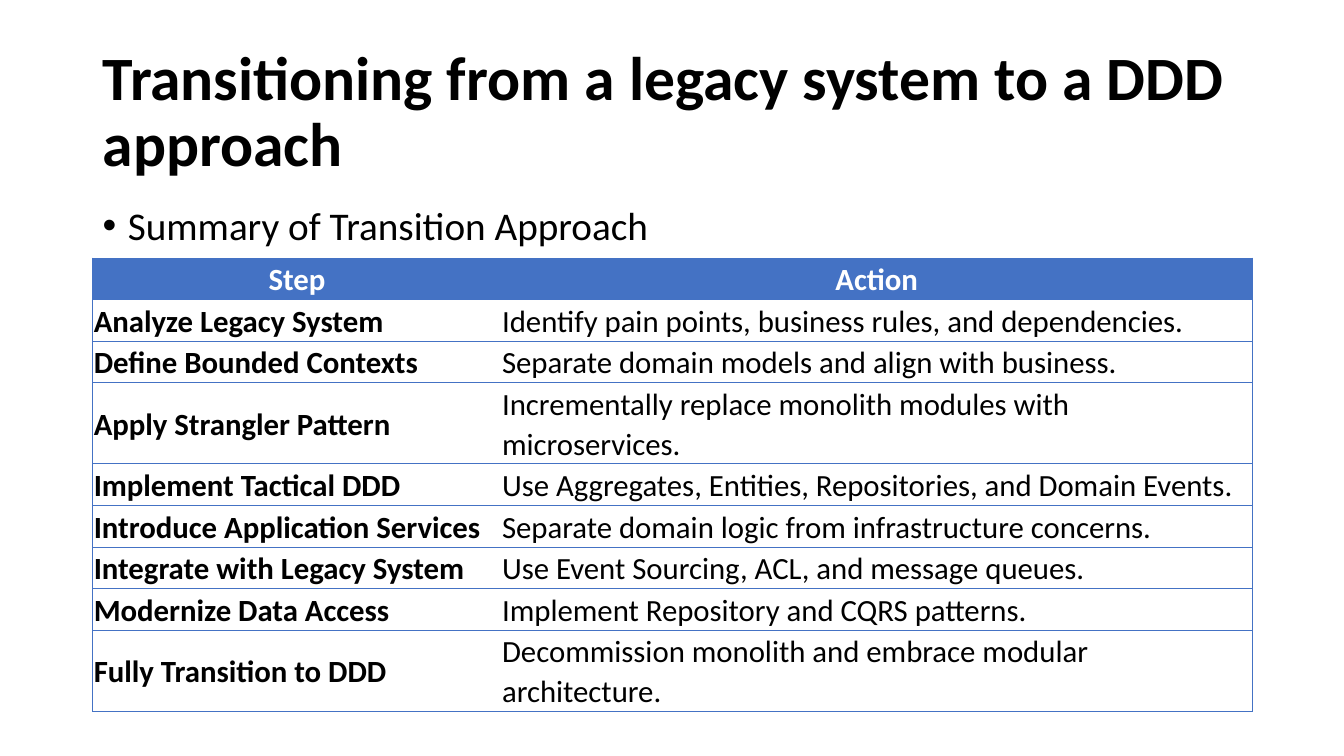
from lxml.etree import SubElement
from pptx import Presentation
from pptx.dml.color import RGBColor
from pptx.enum.text import MSO_ANCHOR as Anchor, PP_ALIGN as Align
from pptx.oxml import parse_xml
from pptx.oxml.ns import nsdecls, qn
from pptx.util import Inches, Pt

COLORS = {"text": "000000", "accent": "4472C4", "white": "FFFFFF"}
NO_STYLE = "{2D5ABB26-0587-4C30-8999-92F81FD0307C}"
STEPS = [
    ("Step", "Action"),
    ("Analyze Legacy System", "Identify pain points, business rules, and dependencies."),
    ("Define Bounded Contexts", "Separate domain models and align with business."),
    ("Apply Strangler Pattern", "Incrementally replace monolith modules with microservices."),
    ("Implement Tactical DDD", "Use Aggregates, Entities, Repositories, and Domain Events."),
    ("Introduce Application Services", "Separate domain logic from infrastructure concerns."),
    ("Integrate with Legacy System", "Use Event Sourcing, ACL, and message queues."),
    ("Modernize Data Access", "Implement Repository and CQRS patterns."),
    ("Fully Transition to DDD", "Decommission monolith and embrace modular architecture."),
]


class SlideBuilder:
    font = "Calibri"
    left, width = Inches(0.92), Inches(11.5)

    def __init__(self, prs):
        self.slide = prs.slides.add_slide(prs.slide_layouts[6])

    def format(self, p, size, color="text", bold=False, spacing=0.9):
        p.line_spacing = spacing
        for r in p.runs:
            r.font.name = self.font
            r.font.size = Pt(size)
            r.font.bold = bold
            r.font.color.rgb = RGBColor.from_string(COLORS[color])

    def text(self, text, top, height, size, bold=False, anchor=Anchor.TOP):
        sp = self.slide.shapes.add_textbox(self.left, top, self.width, height)
        tf = sp.text_frame
        tf.word_wrap = True
        tf.vertical_anchor = anchor
        tf.text = text
        p = tf.paragraphs[0]
        self.format(p, size, bold=bold)
        return p

    def bullet(self, text, top, height, size):
        p = self.text(text, top, height, size)
        p.space_before = Pt(10)
        pPr = p._p.get_or_add_pPr()
        pPr.set("marL", str(Inches(0.25)))
        pPr.set("indent", str(-Inches(0.25)))
        SubElement(pPr, qn("a:buFont"), typeface="Arial")
        SubElement(pPr, qn("a:buChar"), char="•")

    def borders(self, cell, sides):
        tcPr = cell._tc.get_or_add_tcPr()
        for i, side in enumerate(sides):
            tcPr.insert(i, parse_xml(
                f'<a:ln{side} {nsdecls("a")} w="{Pt(0.5)}"><a:solidFill>'
                f'<a:srgbClr val="{COLORS["accent"]}"/></a:solidFill></a:ln{side}>'))

    def cell(self, cell, text, header, first):
        cell.margin_left = cell.margin_right = Inches(0.01)
        cell.margin_top = cell.margin_bottom = Inches(0.01)
        cell.vertical_anchor = Anchor.MIDDLE
        cell.text = text
        p = cell.text_frame.paragraphs[0]
        p.alignment = Align.CENTER if header else Align.LEFT
        p.space_after = Pt(8)
        self.format(p, 22, "white" if header else "text", header or first, 1.07)
        cell.fill.solid()
        cell.fill.fore_color.rgb = RGBColor.from_string(COLORS["accent" if header else "white"])
        self.borders(cell, ("L" if first else "R", "T", "B"))

    def table(self, rows, top, row_height, col_widths):
        table = self.slide.shapes.add_table(
            len(rows), len(col_widths), self.left, top, self.width, row_height * len(rows)).table
        table._tbl.tblPr.find(qn("a:tableStyleId")).text = NO_STYLE
        table.horz_banding = False
        for column, width in zip(table.columns, col_widths):
            column.width = width
        for i, row in enumerate(rows):
            for j, text in enumerate(row):
                self.cell(table.cell(i, j), text, header=i == 0, first=j == 0)


def main():
    prs = Presentation()
    prs.slide_width, prs.slide_height = Inches(13.33), Inches(7.5)
    s = SlideBuilder(prs)
    s.text("Transitioning from a legacy system to a DDD approach",
           Inches(0.4), Inches(1.45), 44, bold=True, anchor=Anchor.MIDDLE)
    s.table(STEPS, Inches(2.56), Inches(0.4), (Inches(4.05), Inches(7.45)))
    s.bullet("Summary of Transition Approach", Inches(2), Inches(4.76), 28)
    prs.save("out.pptx")


if __name__ == "__main__":
    main()
